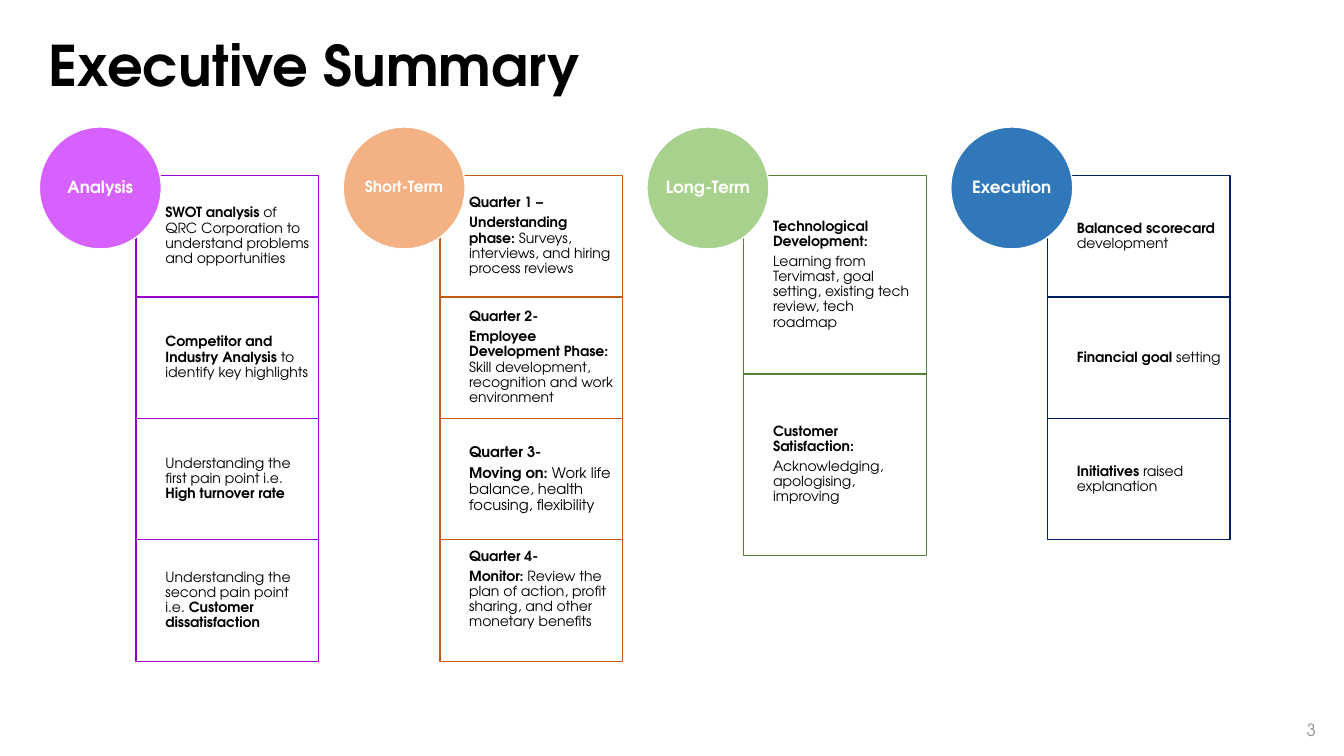
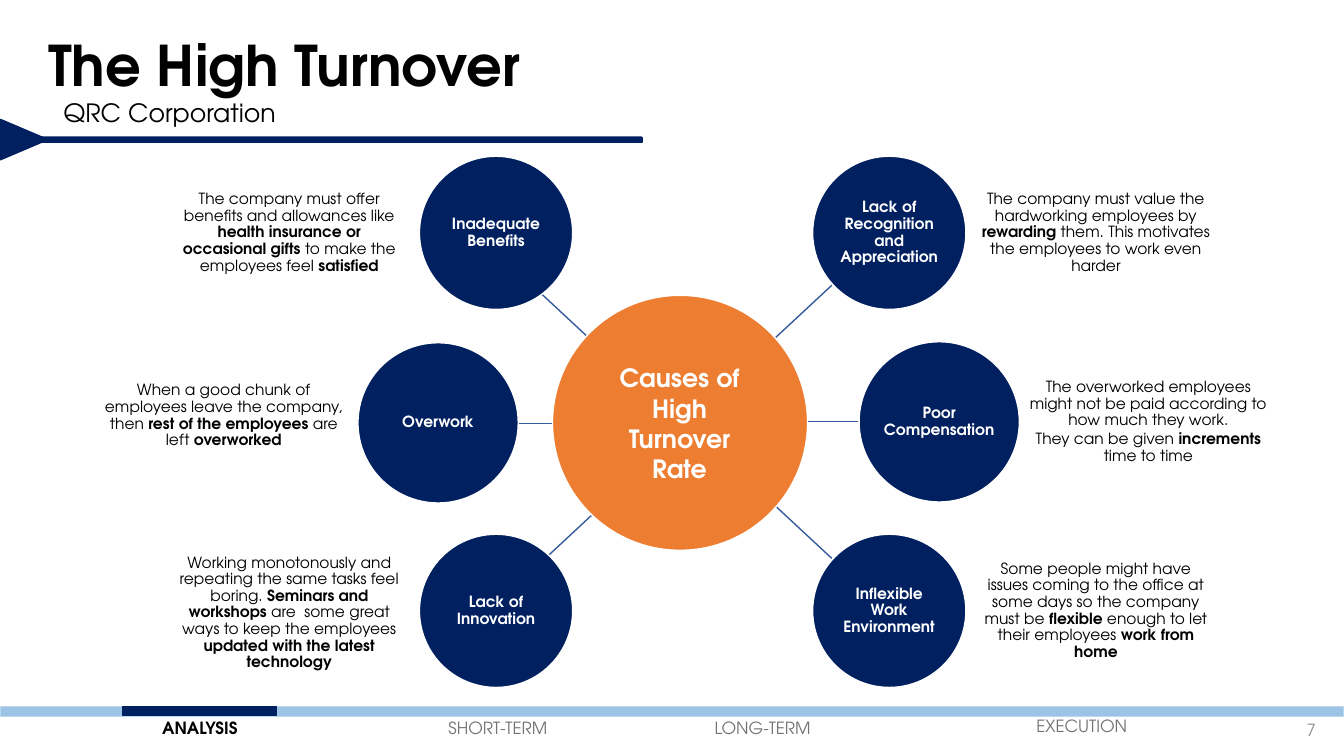
from lxml.etree import SubElement
from pptx import Presentation
from pptx.dml.color import RGBColor
from pptx.enum.shapes import MSO_CONNECTOR, MSO_SHAPE as Shape
from pptx.enum.text import MSO_ANCHOR as Anchor, MSO_AUTO_SIZE as Fit, PP_ALIGN as Align
from pptx.oxml.ns import qn
from pptx.util import Inches, Pt

FONT = "TeX Gyre Adventor"
NAVY, ORANGE, WHITE, BLACK = "002060", "ED7D31", "FFFFFF", "000000"
BLUE, SKY, PALE, GREY, DIM = "365B9D", "9DC3E6", "BDD7EE", "767171", "8C8C8C"

# Text between ** marks is bold.
# Column: heading, heading size, circle colour, border colour, cells.
# Cell: paragraphs, then any settings that differ from the usual ones.
COLUMNS = [
    ("Analysis", 12, "D661FF", "9900CC", [
        (["**SWOT analysis **of QRC Corporation to understand problems and opportunities"], {}),
        (["**Competitor and Industry Analysis **to identify key highlights"], {}),
        (["Understanding the first pain point i.e. **High turnover rate**"], {}),
        (["Understanding the second pain point i.e. **Customer dissatisfaction**"], {}),
    ]),
    ("Short-Term", 11, "F4B183", "C55A11", [
        (["**Quarter 1 –**",
          "**Understanding phase: **Surveys, interviews, and hiring process reviews"], {}),
        (["**Quarter 2-**",
          "**Employee Development Phase: **Skill development, recognition and work environment"], {}),
        (["**Quarter 3-**",
          "**Moving on: **Work life balance, health focusing, flexibility"], {"size": 10.5}),
        (["**Quarter 4-**",
          "**Monitor:** Review the plan of action, profit sharing, and other monetary benefits"],
         {"foot": 0.3}),
    ]),
    ("Long-Term", 12, "A9D18E", "548235", [
        (["**Technological Development:**",
          "Learning from Tervimast, goal setting, existing tech review, tech roadmap"],
         {"high": 1.97}),
        (["**Customer Satisfaction:**", "Acknowledging, apologising, improving"],
         {"high": 1.8}),
    ]),
    ("Execution", 12, "3078BA", NAVY, [
        (["**Balanced scorecard** development"], {}),
        (["**Financial goal **setting"], {}),
        (["**Initiatives **raised explanation"], {}),
    ]),
]

# Cause: name, circle (left, top, size), link (from, to), note (left, top, width), note text.
CAUSES = [
    ("Inadequate Benefits", (4.16, 1.55, 1.52), (5.88, 3.39, 5.3, 2.85), (1.73, 1.55, 2.28),
     ["The company must offer benefits and allowances like **health insurance or "
      "occasional gifts **to make the employees feel **satisfied**"]),
    ("Overwork", (3.55, 3.4, 1.59), (5.98, 4.2, 5.14, 4.2), (1.03, 3.33, 2.38),
     ["When a good chunk of employees leave the company, then **rest of the "
      "employees **are left **overworked**"]),
    ("Lack of Innovation", (4.16, 5.3, 1.52), (5.87, 5.11, 5.29, 5.65), (1.73, 5.32, 2.28),
     ["Working monotonously and repeating the same tasks feel boring. **Seminars and "
      "workshops** are  some great ways to keep the employees **updated with the "
      "latest technology**"]),
    ("Lack of Recognition and Appreciation", (8.06, 1.55, 1.52), (7.67, 3.37, 8.25, 2.83),
     (9.73, 1.55, 2.28),
     ["The company must value the hardworking employees by **rewarding** them. This "
      "motivates the employees to work even harder"]),
    ("Poor Compensation", (8.52, 3.39, 1.59), (7.67, 4.18, 8.51, 4.18), (10.2, 3.39, 2.38),
     ["The overworked employees might not be paid according to how much they work.",
      "They can be given **increments** time to time"]),
    ("Inflexible Work Environment", (8.06, 5.3, 1.52), (7.67, 5, 8.25, 5.54),
     (9.73, 5.3, 2.28),
     ["Some people might have issues coming to the office at some days so the company "
      "must be **flexible** enough to let their employees **work from home**"]),
]

# Tab: label, left, top, width.
TABS = [("ANALYSIS", 1.51, 7.07, 1.26), ("SHORT-TERM", 4.35, 7.07, 1.26),
        ("LONG-TERM", 6.99, 7.07, 1.83), ("EXECUTION", 10.18, 7.05, 1.71)]


def rgb(code):
    return RGBColor.from_string(code)


def write(shape, paras, size, color=BLACK, align=Align.LEFT, anchor=Anchor.MIDDLE,
          pad=(0.1, 0.05, 0.1, 0.05), gap=0, lead=0.9):
    """Fill a shape with text; pad is left, top, right, bottom and gap is in points."""
    frame = shape.text_frame
    frame.word_wrap, frame.auto_size = True, Fit.NONE
    frame.vertical_anchor = anchor
    (frame.margin_left, frame.margin_top,
     frame.margin_right, frame.margin_bottom) = map(Inches, pad)
    for i, text in enumerate(paras):
        para = frame.add_paragraph() if i else frame.paragraphs[0]
        para.alignment, para.line_spacing = align, lead
        para.space_before, para.space_after = Pt(0), Pt(gap)
        for j, part in enumerate(text.split("**")):
            if part:
                run = para.add_run()
                run.text = part
                font = run.font
                font.name, font.size, font.bold = FONT, Pt(size), j % 2 == 1
                font.color.rgb = rgb(color)


def draw(slide, kind, box, fill=None, line=WHITE):
    shape = slide.shapes.add_shape(kind, *map(Inches, box))
    shape.shadow.inherit = False
    if fill:
        shape.fill.solid()
        shape.fill.fore_color.rgb = rgb(fill)
    else:
        shape.fill.background()
    shape.line.color.rgb, shape.line.width = rgb(line), Pt(1)
    return shape


def label(slide, box, paras, size, **style):
    write(slide.shapes.add_textbox(*map(Inches, box)), paras, size, **style)


def link(slide, ends):
    line = slide.shapes.add_connector(MSO_CONNECTOR.STRAIGHT, *map(Inches, ends))
    line.line.color.rgb, line.line.width = rgb(BLUE), Pt(1)
    SubElement(line._element.spPr, qn("a:effectLst"))


def start(deck, title, number):
    """Add a slide with the shared title style and page number."""
    slide = deck.slides.add_slide(deck.slide_layouts[5])
    head = slide.shapes.title
    head.left, head.top, head.width, head.height = map(Inches, (0.38, -0.05, 6.42, 1.45))
    write(head, [f"**{title}**"], 40)
    label(slide, (10.15, 7.04, 3, 0.4), [number], 12, color=DIM, align=Align.RIGHT, lead=1)
    return slide


def band(slide, name):
    """Draw the subtitle and the arrow rule below the title."""
    label(slide, (0.53, 0.92, 6.75, 0.4), [name], 18, anchor=Anchor.TOP, lead=1)
    draw(slide, Shape.SNIP_2_DIAG_RECTANGLE, (0.13, 1.36, 6.24, 0.05), NAVY, NAVY)
    tip = draw(slide, Shape.ISOSCELES_TRIANGLE, (0.04, 1.15, 0.4, 0.47), NAVY, NAVY)
    tip.rotation = 90


def footer(slide, active):
    draw(slide, Shape.RECTANGLE, (0, 7.01, 13.33, 0.1), SKY, PALE)
    draw(slide, Shape.RECTANGLE, (1.22, 7.01, 1.52, 0.09), NAVY, NAVY)
    for text, left, top, wide in TABS:
        on = text == active
        label(slide, (left, top, wide, 0.3), [f"**{text}**" if on else text], 12,
              color=BLACK if on else GREY, anchor=Anchor.TOP, lead=1)


def summary(deck):
    slide = start(deck, "Executive Summary", "3")
    first, step, row, disc = 0.39, 9.04 / 3, 4.82 / 4, 1.21
    for i, (name, size, fill, edge, cells) in enumerate(COLUMNS):
        left, top = first + i * step, 1.74
        for paras, extra in cells:
            high = extra.get("high", row)
            cell = draw(slide, Shape.RECTANGLE, (left + 0.96, top, 1.81, high), line=edge)
            write(cell, paras, extra.get("size", 10), gap=3.5,
                  pad=(0.29, 0.08, 0.07, extra.get("foot", 0.08)))
            top += high
        circle = draw(slide, Shape.OVAL, (left, 1.26, disc, disc), fill)
        write(circle, [f"**{name}**"], size, WHITE, Align.CENTER, pad=(0, 0, 0, 0))


def turnover(deck):
    slide = start(deck, "The High Turnover", "7")
    band(slide, "QRC Corporation")
    for cause in CAUSES:
        link(slide, cause[2])
    draw(slide, Shape.OVAL, (5.48, 2.93, 2.53, 2.53), ORANGE)
    label(slide, (5.96, 3.55, 1.56, 1.33), ["**Causes of High Turnover Rate**"], 18,
          color=WHITE, align=Align.CENTER, anchor=Anchor.TOP, lead=1)
    flat = dict(align=Align.CENTER, pad=(0, 0, 0, 0))
    for name, (left, top, size), _, (x, y, wide), paras in CAUSES:
        node = draw(slide, Shape.OVAL, (left, top, size, size), NAVY)
        write(node, [f"**{name}**"], 11, WHITE, **flat)
        label(slide, (x, y, wide, size), paras, 11, gap=1.65, **flat)
    footer(slide, "ANALYSIS")


def main():
    deck = Presentation()
    deck.slide_width, deck.slide_height = Inches(13.33), Inches(7.5)
    summary(deck)
    turnover(deck)
    deck.save("out.pptx")


if __name__ == "__main__":
    main()
